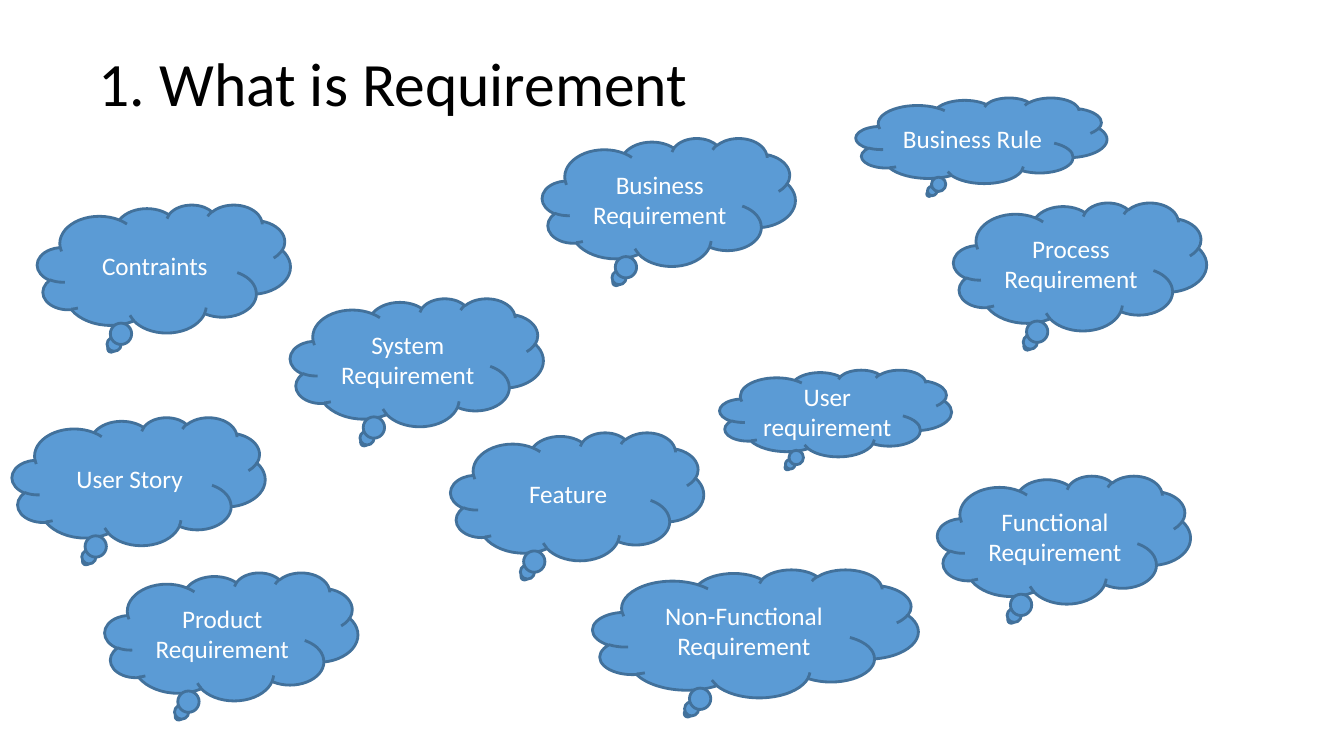
from dataclasses import dataclass

from pptx import Presentation
from pptx.dml.color import RGBColor
from pptx.enum.shapes import MSO_SHAPE
from pptx.enum.text import MSO_ANCHOR, PP_ALIGN
from pptx.util import Inches, Pt

CLOUD = MSO_SHAPE.CLOUD_CALLOUT
MIDDLE = MSO_ANCHOR.MIDDLE
LEFT, CENTER = PP_ALIGN.LEFT, PP_ALIGN.CENTER

COLUMNS, ROWS = 100, 100
CLOUD_SIZE = (18.83, 16.93)
TAIL = (-0.208, 0.625)

# Label paragraphs, left column, top row, and size where it is not the usual one
CLOUDS = [
    (["Functional Requirement"], 69.75, 62.93),
    (["User requirement"], 53.55, 48.93, 17.25, 11.47),
    (["Non-Functional Requirement"], 44.1, 75.33, 24.23, 16.93),
    (["System Requirement"], 21.6, 39.47),
    (["Product", "Requirement"], 7.8, 75.73),
    (["Process Requirement"], 70.95, 26.8),
    (["Contraints"], 2.78, 27.07),
    (["Business Requirement"], 40.35, 18.27),
    (["User Story"], 0.9, 55.2),
    (["Feature"], 33.53, 57.2),
    (["Business Rule"], 63.68, 12.93, 18.68, 11.33),
]


@dataclass(frozen=True)
class Theme:
    """Colours, font and type sizes of the deck."""

    font: str = "Calibri"
    title_size: int = 44
    label_size: int = 18
    outline_width: int = 2
    title: RGBColor = RGBColor(0x00, 0x00, 0x00)
    label: RGBColor = RGBColor(0xFF, 0xFF, 0xFF)
    cloud: RGBColor = RGBColor(0x5B, 0x9B, 0xD5)
    outline: RGBColor = RGBColor(0x42, 0x71, 0x9B)


class SlideBuilder:
    """Draws styled elements on one slide, placed on a grid."""

    def __init__(self, deck, theme):
        """Add a blank slide and work out the grid steps."""
        self.theme = theme
        self.slide = deck.slides.add_slide(deck.slide_layouts[6])
        self.column = deck.slide_width / COLUMNS
        self.row = deck.slide_height / ROWS

    def place(self, left, top, width, height):
        """Turn grid columns and rows into slide lengths."""
        return (round(left * self.column), round(top * self.row),
                round(width * self.column), round(height * self.row))

    def add_lines(self, box, lines, size, color, align, spacing=None):
        """Fill a box with one paragraph per line."""
        frame = box.text_frame
        frame.word_wrap = True
        frame.vertical_anchor = MIDDLE
        for index, line in enumerate(lines):
            para = frame.add_paragraph() if index else frame.paragraphs[0]
            para.alignment = align
            para.line_spacing = spacing
            span = para.add_run()
            span.text = line
            span.font.name = self.theme.font
            span.font.size = Pt(size)
            span.font.color.rgb = color

    def title(self, text, left, top, width, height):
        """Add the slide heading."""
        box = self.slide.shapes.add_textbox(*self.place(left, top, width, height))
        self.add_lines(box, [text], self.theme.title_size, self.theme.title, LEFT, 0.9)

    def cloud(self, lines, left, top, width=CLOUD_SIZE[0], height=CLOUD_SIZE[1]):
        """Add a thought cloud with a centred label."""
        cloud = self.slide.shapes.add_shape(CLOUD, *self.place(left, top, width, height))
        cloud.adjustments[0], cloud.adjustments[1] = TAIL
        cloud.shadow.inherit = False
        cloud.fill.solid()
        cloud.fill.fore_color.rgb = self.theme.cloud
        cloud.line.color.rgb = self.theme.outline
        cloud.line.width = Pt(self.theme.outline_width)
        self.add_lines(cloud, lines, self.theme.label_size, self.theme.label, CENTER)


def main():
    """Build the deck and save it."""
    deck = Presentation()
    deck.slide_width, deck.slide_height = Inches(13.33), Inches(7.5)
    page = SlideBuilder(deck, Theme())
    page.title("1. What is Requirement", 6.6, 1.73, 86.25, 19.33)
    for cloud in CLOUDS:
        page.cloud(*cloud)
    deck.save("out.pptx")


main()
